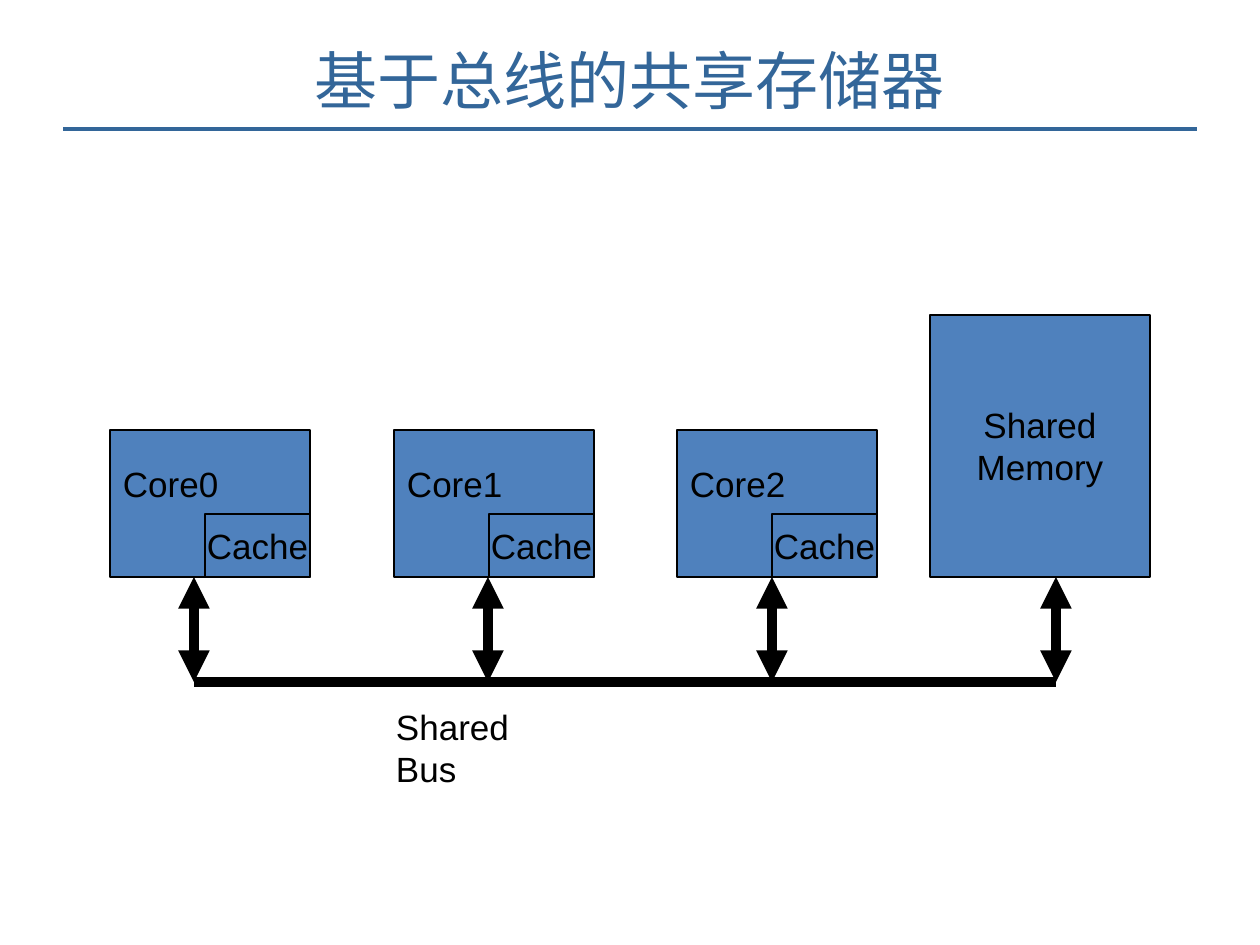
from dataclasses import dataclass

from lxml.etree import SubElement
from pptx import Presentation
from pptx.dml.color import RGBColor
from pptx.enum.shapes import MSO_CONNECTOR, MSO_SHAPE
from pptx.enum.text import MSO_ANCHOR as Anchor, PP_ALIGN as Align
from pptx.oxml.ns import qn
from pptx.util import Pt

TITLE = "基于总线的共享存储器"
CORES = [("Core0", 110, 194), ("Core1", 394, 488), ("Core2", 677, 772)]  # name, left, bus tap
CACHE = "Cache"
MEMORY = ["Shared", "Memory"]
MEMORY_TAP = 1056
BUS = "Shared Bus"

# Layout in px, 126 to the inch
EMU_PER_PX = 914400 / 126
SLIDE_W, SLIDE_H = 1260, 945
TITLE_RULE_Y, MARGIN = 129, 63
BASE_Y, BUS_Y = 577, 682
CORE_W, CORE_H = 200, 147
CACHE_W, CACHE_H = 105, 63
MEMORY_X, MEMORY_W, MEMORY_H = 930, 220, 262
LABEL_LIFT = 40
INSET_X, INSET_Y = 13, 6


@dataclass(frozen=True)
class Theme:
    accent: RGBColor = RGBColor(0x33, 0x66, 0x99)
    block: RGBColor = RGBColor(0x4F, 0x81, 0xBD)
    ink: RGBColor = RGBColor(0, 0, 0)
    title_font: str = "Noto Sans CJK SC"
    body_font: str = "Arial"
    title_size: float = 36
    body_size: float = 20
    outline: float = 0.75
    rule: float = 2
    bus: float = 6


THEME = Theme()


def px(length):
    return round(length * EMU_PER_PX)


def write(shape, lines, align, anchor, insets, font=THEME.body_font,
          size=THEME.body_size, color=THEME.ink):
    """Fill a shape with one paragraph per line; insets run left, top, right, bottom."""
    frame = shape.text_frame
    frame.word_wrap = True
    frame.vertical_anchor = anchor
    (frame.margin_left, frame.margin_top,
     frame.margin_right, frame.margin_bottom) = map(px, insets)
    frame.text = "\n".join(lines)
    for paragraph in frame.paragraphs:
        paragraph.alignment = align
        paragraph.font.name = font
        paragraph.font.size = Pt(size)
        paragraph.font.color.rgb = color


def add_text(slide, box, text, **style):
    label = slide.shapes.add_textbox(*map(px, box))
    write(label, [text], insets=(INSET_X, INSET_Y, INSET_X, INSET_Y), **style)
    return label


def add_block(slide, box, lines, align=Align.CENTER, insets=(0, 0, 0, 0)):
    block = slide.shapes.add_shape(MSO_SHAPE.RECTANGLE, *map(px, box))
    block.shadow.inherit = False
    block.fill.solid()
    block.fill.fore_color.rgb = THEME.block
    block.line.color.rgb = THEME.ink
    block.line.width = Pt(THEME.outline)
    write(block, lines, align, Anchor.MIDDLE, insets)


def add_line(slide, ends, color, width, arrows=False):
    line = slide.shapes.add_connector(MSO_CONNECTOR.STRAIGHT, *map(px, ends))
    line.line.color.rgb = color
    line.line.width = Pt(width)
    properties = line._element.spPr
    if arrows:
        outline = properties.find(qn("a:ln"))
        for end in ("a:headEnd", "a:tailEnd"):
            SubElement(outline, qn(end), type="triangle")
    SubElement(properties, qn("a:effectLst"))


def add_title(slide):
    add_line(slide, (MARGIN, TITLE_RULE_Y, SLIDE_W - MARGIN, TITLE_RULE_Y),
             THEME.accent, THEME.rule)
    title = add_text(slide, (0, 32, SLIDE_W, 94), TITLE, align=Align.CENTER,
                     anchor=Anchor.MIDDLE, font=THEME.title_font,
                     size=THEME.title_size, color=THEME.accent)
    run = title.text_frame.paragraphs[0].runs[0]
    SubElement(run._r.get_or_add_rPr(), qn("a:ea"), typeface=THEME.title_font)


def add_core(slide, name, left):
    add_block(slide, (left, BASE_Y - CORE_H, CORE_W, CORE_H), [name], Align.LEFT,
              (INSET_X, INSET_Y, INSET_X, INSET_Y + LABEL_LIFT))
    add_block(slide, (left + CORE_W - CACHE_W, BASE_Y - CACHE_H, CACHE_W, CACHE_H),
              [CACHE])


def add_bus(slide):
    taps = [tap for _, _, tap in CORES] + [MEMORY_TAP]
    add_line(slide, (taps[0], BUS_Y, taps[-1], BUS_Y), THEME.ink, THEME.bus)
    for tap in taps:
        add_line(slide, (tap, BASE_Y, tap, BUS_Y), THEME.ink, THEME.bus, arrows=True)
    add_text(slide, (383, 699, 188, 92), BUS, align=Align.LEFT, anchor=Anchor.TOP)


def main():
    deck = Presentation()
    deck.slide_width, deck.slide_height = px(SLIDE_W), px(SLIDE_H)
    slide = deck.slides.add_slide(deck.slide_layouts[6])
    add_title(slide)
    for name, left, _ in CORES:
        add_core(slide, name, left)
    add_block(slide, (MEMORY_X, BASE_Y - MEMORY_H, MEMORY_W, MEMORY_H), MEMORY)
    add_bus(slide)
    deck.save("out.pptx")


if __name__ == "__main__":
    main()
